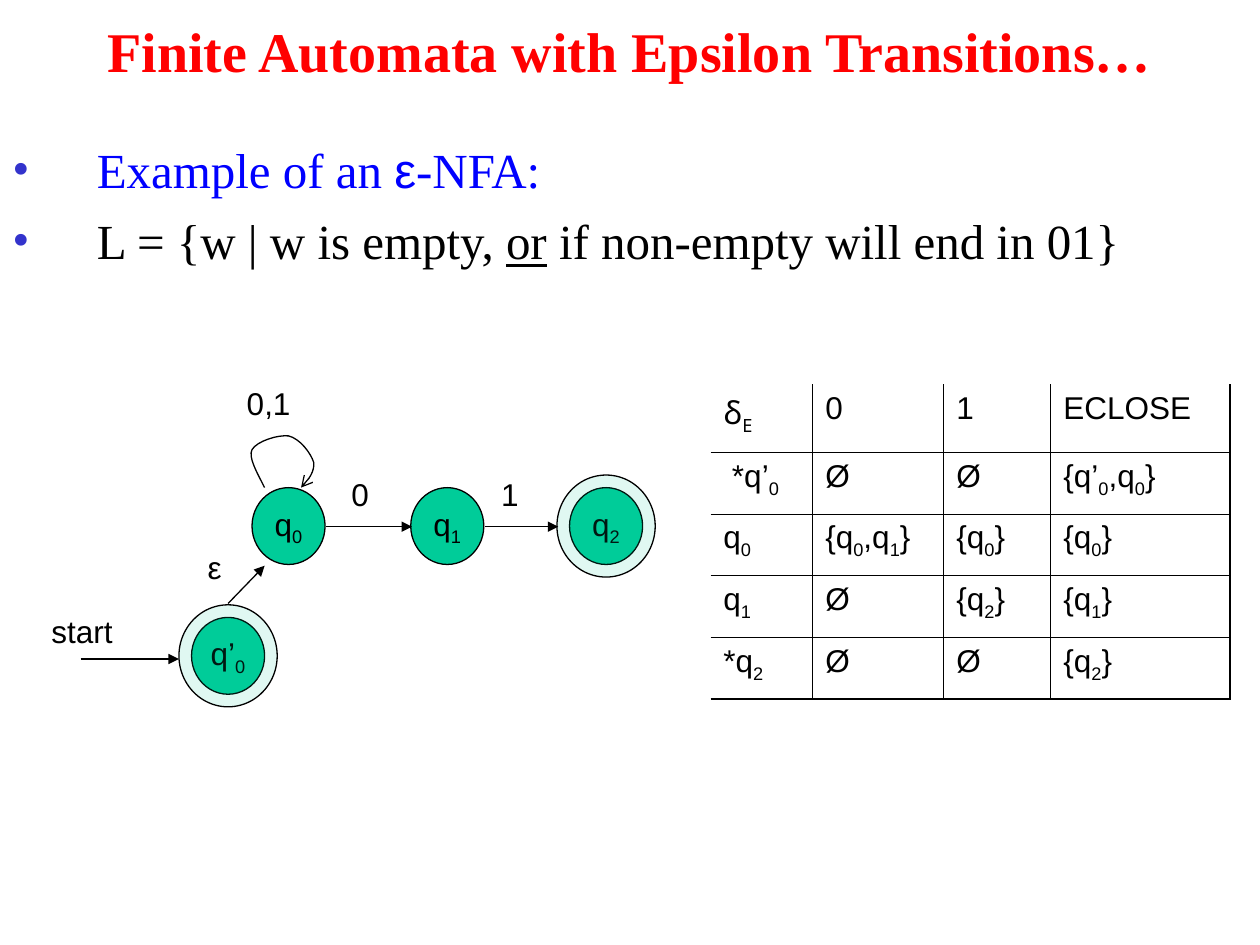
from pptx import Presentation
from pptx.dml.color import RGBColor
from pptx.enum.shapes import MSO_CONNECTOR, MSO_SHAPE
from pptx.enum.text import MSO_ANCHOR, MSO_AUTO_SIZE, PP_ALIGN
from pptx.oxml.ns import qn
from pptx.util import Pt
from lxml.etree import SubElement

PX = 9144  # EMU per px, 100 px to the inch
BLACK = RGBColor(0, 0, 0)
RED = RGBColor(255, 0, 0)
BLUE = RGBColor(0, 0, 255)
GREEN = RGBColor(0x00, 0xCC, 0x99)
INDIGO = RGBColor(0x33, 0x33, 0xCC)
SERIF, SANS = "Times New Roman", "Arial"
STATE_W, STATE_H, RING = 58, 61, 10


def box(*lengths):
    return [n * PX for n in lengths]


def add_run(p, text, size=18, font=SANS, color=BLACK):
    r = p.add_run()
    r.text = text
    r.font.size = Pt(size)
    r.font.name = font
    r.font.color.rgb = color
    return r


def add_symbol(p, text, font=SANS):
    """Write text in which the character after each _ is a subscript."""
    head, *rest = text.split("_")
    add_run(p, head, font=font)
    for part in rest:
        sub = add_run(p, part[0], font=font)
        sub.font._element.set("baseline", "-25000")
        if part[1:]:
            add_run(p, part[1:], font=font)


def set_line(sp, end=None):
    sp.line.color.rgb = BLACK
    sp.line.width = Pt(0.75)
    if end:
        SubElement(sp.line._get_or_add_ln(), qn("a:tailEnd"), type=end)


def add_title(s, x, y, w, h):
    sp = s.shapes.title
    sp.left, sp.top, sp.width, sp.height = box(x, y, w, h)
    tf = sp.text_frame
    tf.auto_size = MSO_AUTO_SIZE.NONE
    tf.vertical_anchor = MSO_ANCHOR.MIDDLE
    p = tf.paragraphs[0]
    p.alignment = PP_ALIGN.CENTER
    p.line_spacing = 0.9
    p.space_before = Pt(8)
    add_run(p, "Finite Automata with Epsilon Transitions…", 32, SERIF, RED).font.bold = True


def add_bullets(s, x, y, w, h):
    lines = [
        [("Example of an ", SERIF, BLUE), ("ε", SANS, BLUE), ("-NFA:", SERIF, BLUE)],
        [("L = {w | w is empty, ", SERIF, BLACK), ("or", SERIF, BLACK),
         (" if non-empty will end in 01}", SERIF, BLACK)],
    ]
    tf = s.shapes.add_textbox(*box(x, y, w, h)).text_frame
    tf.word_wrap = True
    for i, line in enumerate(lines):
        p = tf.add_paragraph() if i else tf.paragraphs[0]
        p.space_before = Pt(7)
        pPr = p._p.get_or_add_pPr()
        pPr.set("marL", str(67 * PX))
        pPr.set("indent", str(-67 * PX))
        SubElement(SubElement(pPr, qn("a:buClr")), qn("a:srgbClr"), val=str(INDIGO))
        SubElement(pPr, qn("a:buFont"), typeface=SERIF)
        SubElement(pPr, qn("a:buChar"), char="•")
        for text, font, color in line:
            r = add_run(p, text, 28, font, color)
            if text == "or":
                r.font.underline = True


def add_ellipse(s, x, y, w, h):
    sp = s.shapes.add_shape(MSO_SHAPE.OVAL, *box(x, y, w, h))
    sp.shadow.inherit = False
    sp.fill.solid()
    sp.fill.fore_color.rgb = GREEN
    set_line(sp)
    return sp


def add_state(s, x, y, name, final=False):
    sp = add_ellipse(s, x, y, STATE_W, STATE_H)
    tf = sp.text_frame
    tf.word_wrap = False
    tf.vertical_anchor = MSO_ANCHOR.MIDDLE
    p = tf.paragraphs[0]
    p.alignment = PP_ALIGN.CENTER
    add_symbol(p, name)
    if final:  # translucent outer ring
        ring = add_ellipse(s, x - RING, y - RING, STATE_W + 2 * RING, STATE_H + 2 * RING)
        color = ring.fill._xPr.find(qn("a:solidFill"))[0]
        SubElement(color, qn("a:alpha"), val="12000")


def add_arrow(s, x1, y1, x2, y2):
    c = s.shapes.add_connector(MSO_CONNECTOR.STRAIGHT, *box(x1, y1, x2, y2))
    set_line(c, "triangle")
    SubElement(c._element.spPr, qn("a:effectLst"))


def add_label(s, x, y, w, text):
    tf = s.shapes.add_textbox(*box(x, y, w, 40)).text_frame
    tf.word_wrap = False
    tf.auto_size = MSO_AUTO_SIZE.SHAPE_TO_FIT_TEXT
    add_run(tf.paragraphs[0], text)


def add_loop(s, x, y):
    """Draw a curved self-transition from Bezier segments."""
    start = (13, 42)
    segments = [((7, 30), (0, 18), (3, 12)), ((7, 5), (24, 0), (32, 1)),
                ((41, 3), (50, 15), (52, 22)), ((53, 29), (48, 36), (42, 42))]
    steps = 8
    points = [start]
    for a, b, c in segments:
        first = points[-1]
        for k in range(1, steps + 1):
            t = k / steps
            u = 1 - t
            points.append(tuple(u**3 * p0 + 3 * u * u * t * p1 + 3 * u * t * t * p2 + t**3 * p3
                                for p0, p1, p2, p3 in zip(first, a, b, c)))
    points = [((x + px) * PX, (y + py) * PX) for px, py in points]
    fb = s.shapes.build_freeform(*points[0])
    fb.add_line_segments(points[1:], close=False)
    sp = fb.convert_to_shape()
    sp.shadow.inherit = False
    sp.fill.background()
    set_line(sp, "arrow")


def add_automaton(s, x, y):
    # States
    add_state(s, x + 121, y + 190, "q’_0", final=True)
    for i in range(3):
        add_state(s, x + 169 + 126 * i, y + 87, f"q_{i}", final=i == 2)
    # Transitions
    add_arrow(s, x + 33, y + 223, x + 111, y + 223)
    add_arrow(s, x + 150, y + 179, x + 179, y + 149)
    add_arrow(s, x + 228, y + 118, x + 296, y + 118)
    add_arrow(s, x + 354, y + 118, x + 412, y + 118)
    add_loop(s, x + 166, y + 45)
    # Labels
    for dx, dy, w, text in [(0, 181, 72, "start"), (124, 130, 31, "ε"), (155, 0, 55, "0,1"),
                            (238, 72, 34, "0"), (357, 72, 34, "1")]:
        add_label(s, x + dx, y + dy, w, text)


def set_borders(cell, widths):
    tcPr = cell._tc.get_or_add_tcPr()
    for i, (side, width) in enumerate(widths.items()):
        ln = tcPr.makeelement(qn("a:ln" + side), {"w": str(Pt(width))})
        tcPr.insert(i, ln)
        if width:
            SubElement(SubElement(ln, qn("a:solidFill")), qn("a:srgbClr"), val=str(BLACK))
        else:
            SubElement(ln, qn("a:noFill"))


def add_transition_table(s, x, y):
    rows = [["δ_E", "0", "1", "ECLOSE"],
            [" *q’_0", "Ø", "Ø", "{q’_0,q_0}"],
            ["q_0", "{q_0,q_1}", "{q_0}", "{q_0}"],
            ["q_1", "Ø", "{q_2}", "{q_1}"],
            ["*q_2", "Ø", "Ø", "{q_2}"]]
    widths, heights = [81, 104, 85, 142], [54] + [49] * 4
    last_row, last_col = len(rows) - 1, len(widths) - 1
    tbl = s.shapes.add_table(len(rows), len(widths),
                             *box(x, y, sum(widths), sum(heights))).table
    tbl.first_row = tbl.horz_banding = False
    for col, w in zip(tbl.columns, widths):
        col.width = w * PX
    for i, (row, h) in enumerate(zip(rows, heights)):
        tbl.rows[i].height = h * PX
        for j, text in enumerate(row):
            cell = tbl.cell(i, j)
            cell.fill.background()
            set_borders(cell, {"L": 0.45 if j else 0, "R": 1.08 if j == last_col else 0.45,
                               "T": 0.45 if i else 0, "B": 1.08 if i == last_row else 0.45})
            p = cell.text_frame.paragraphs[0]
            p.space_before = Pt(4.5)
            add_symbol(p, text, SANS if i or j else "Noto Sans")


def main():
    prs = Presentation()
    prs.slide_width, prs.slide_height = box(1000, 750)
    s = prs.slides.add_slide(prs.slide_layouts[5])
    add_title(s, 0, 0, 1000, 87)
    add_bullets(s, 0, 106, 1000, 119)
    add_automaton(s, 31, 300)
    add_transition_table(s, 564, 305)
    prs.save("out.pptx")


if __name__ == "__main__":
    main()
